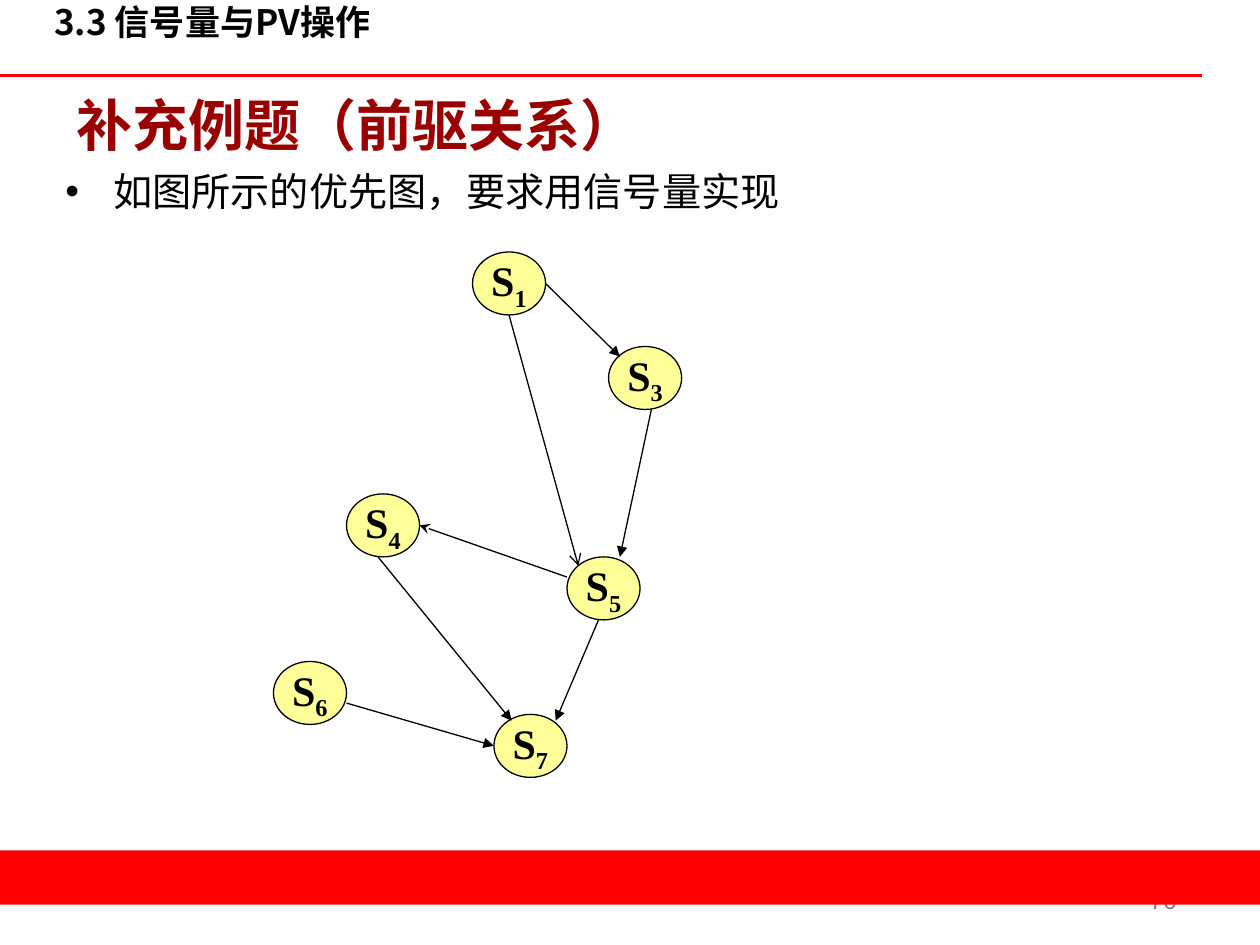
from lxml.etree import SubElement
from pptx import Presentation
from pptx.dml.color import RGBColor
from pptx.enum.shapes import MSO_CONNECTOR, MSO_SHAPE
from pptx.enum.text import MSO_ANCHOR, PP_ALIGN
from pptx.oxml.ns import qn
from pptx.util import Inches, Pt

BLACK = RGBColor(0x00, 0x00, 0x00)
WHITE = RGBColor(0xFF, 0xFF, 0xFF)
RED = RGBColor(0xFF, 0x00, 0x00)
DARK_RED = RGBColor(0x99, 0x00, 0x00)
YELLOW = RGBColor(0xFF, 0xFF, 0x99)
GRAY = RGBColor(0x80, 0x80, 0x80)
CJK_FONT = "Noto Sans CJK SC"

NODE_SIZE = (0.58, 0.5)
NODES = {
    "1": (3.75, 2), "3": (4.83, 2.75), "4": (2.75, 3.92),
    "5": (4.5, 4.42), "6": (2.17, 5.25), "7": (3.92, 5.67),
}
EDGES = [
    ((3, 4.42), (4.06, 5.72), "triangle"),
    ((2.75, 5.58), (3.92, 5.92), "triangle"),
    ((4.75, 4.92), (4.41, 5.72), "triangle"),
    ((4.5, 4.58), (3.33, 4.17), "stealth"),
    ((5.17, 3.25), (4.92, 4.42), "triangle"),
    ((4.33, 2.25), (4.92, 2.83), "triangle"),
    ((4.04, 2.5), (4.59, 4.49), "arrow"),
]


def add_run(paragraph, text, size, color, font="Arial", bold=False):
    """Append a formatted run and return it."""
    run = paragraph.add_run()
    run.text = text
    run.font.size = Pt(size)
    run.font.name = font
    run.font.bold = bold
    run.font.color.rgb = color
    SubElement(run._r.get_or_add_rPr(), qn("a:ea")).set("typeface", CJK_FONT)
    return run


def set_frame(shape, anchor, inset_x=0.1, inset_y=0.05, wrap=True):
    """Set up the text frame and return its first paragraph."""
    frame = shape.text_frame
    frame.word_wrap = wrap
    frame.vertical_anchor = anchor
    frame.margin_left = frame.margin_right = Inches(inset_x)
    frame.margin_top = frame.margin_bottom = Inches(inset_y)
    return frame.paragraphs[0]


def add_text_box(slide, box, anchor, inset_y=0.05):
    """Add a text box and return its first paragraph."""
    shape = slide.shapes.add_textbox(*map(Inches, box))
    return set_frame(shape, anchor, inset_y=inset_y)


def add_filled(slide, kind, box, fill):
    """Add a flat preset shape without an outline."""
    shape = slide.shapes.add_shape(kind, *map(Inches, box))
    shape.shadow.inherit = False
    shape.fill.solid()
    shape.fill.fore_color.rgb = fill
    shape.line.fill.background()
    return shape


def add_line(slide, start, end, color, width, arrow=None):
    """Draw a straight line, with an arrowhead at its end if one is named."""
    line = slide.shapes.add_connector(
        MSO_CONNECTOR.STRAIGHT, *map(Inches, (*start, *end)))
    line.line.color.rgb = color
    line.line.width = Pt(width)
    if arrow:
        SubElement(line.line._get_or_add_ln(), qn("a:tailEnd")).set("type", arrow)
    SubElement(line._element.spPr, qn("a:effectLst"))


def add_title(slide, box):
    """Place the slide title."""
    paragraph = add_text_box(slide, box, MSO_ANCHOR.BOTTOM, inset_y=0)
    add_run(paragraph, "补充例题（前驱关系）", 32, DARK_RED, bold=True)


def add_body(slide, box):
    """Place the bulleted task."""
    paragraph = add_text_box(slide, box, MSO_ANCHOR.TOP, inset_y=0)
    properties = paragraph._p.get_or_add_pPr()
    properties.set("marL", str(Inches(0.38)))
    properties.set("indent", str(Inches(-0.38)))
    SubElement(properties, qn("a:buFont")).set("typeface", "Arial")
    SubElement(properties, qn("a:buChar")).set("char", "•")
    add_run(paragraph, "如图所示的优先图，要求用信号量实现", 22.4, BLACK)


def add_node(slide, box, number):
    """Place one statement node with its subscript."""
    node = add_filled(slide, MSO_SHAPE.OVAL, box, YELLOW)
    node.line.color.rgb = BLACK
    node.line.width = Pt(0.75)
    paragraph = set_frame(node, MSO_ANCHOR.MIDDLE, wrap=False)
    paragraph.alignment = PP_ALIGN.CENTER
    add_run(paragraph, "S", 24, BLACK, "Times New Roman", True)
    subscript = add_run(paragraph, number, 24, BLACK, "Times New Roman", True)
    subscript._r.get_or_add_rPr().set("baseline", "-25000")


def add_graph(slide):
    """Draw the precedence graph."""
    for number, corner in NODES.items():
        add_node(slide, (*corner, *NODE_SIZE), number)
    for start, end, arrow in EDGES:
        add_line(slide, start, end, BLACK, 0.75, arrow)


def add_footer(slide, number_box, bar_box):
    """Place the page number and the bar over it."""
    paragraph = add_text_box(slide, number_box, MSO_ANCHOR.BOTTOM)
    paragraph.alignment = PP_ALIGN.RIGHT
    add_run(paragraph, "70", 14, GRAY)
    add_filled(slide, MSO_SHAPE.RECTANGLE, bar_box, RED)


def add_header(slide, box):
    """Place the section heading and the rule below it."""
    add_line(slide, (0, 0.6), (9.54, 0.6), RED, 1.5)
    heading = add_filled(slide, MSO_SHAPE.RECTANGLE, box, WHITE)
    paragraph = set_frame(heading, MSO_ANCHOR.MIDDLE, 0.09, 0.04)
    paragraph.alignment = PP_ALIGN.LEFT
    add_run(paragraph, "3.3 信号量与PV操作", 20, BLACK, CJK_FONT, True)


def main():
    """Build and save the slide."""
    presentation = Presentation()
    presentation.slide_width = Inches(10)
    presentation.slide_height = Inches(7.5)
    slide = presentation.slides.add_slide(presentation.slide_layouts[6])
    add_title(slide, (0.51, 0, 9, 1.25))
    add_body(slide, (0.42, 1.33, 8.94, 0.5))
    add_graph(slide)
    add_footer(slide, (7.36, 6.81, 2.08, 0.5), (0, 6.75, 10, 0.43))
    add_header(slide, (0.34, 0, 5.78, 0.34))
    presentation.save("out.pptx")


if __name__ == "__main__":
    main()
